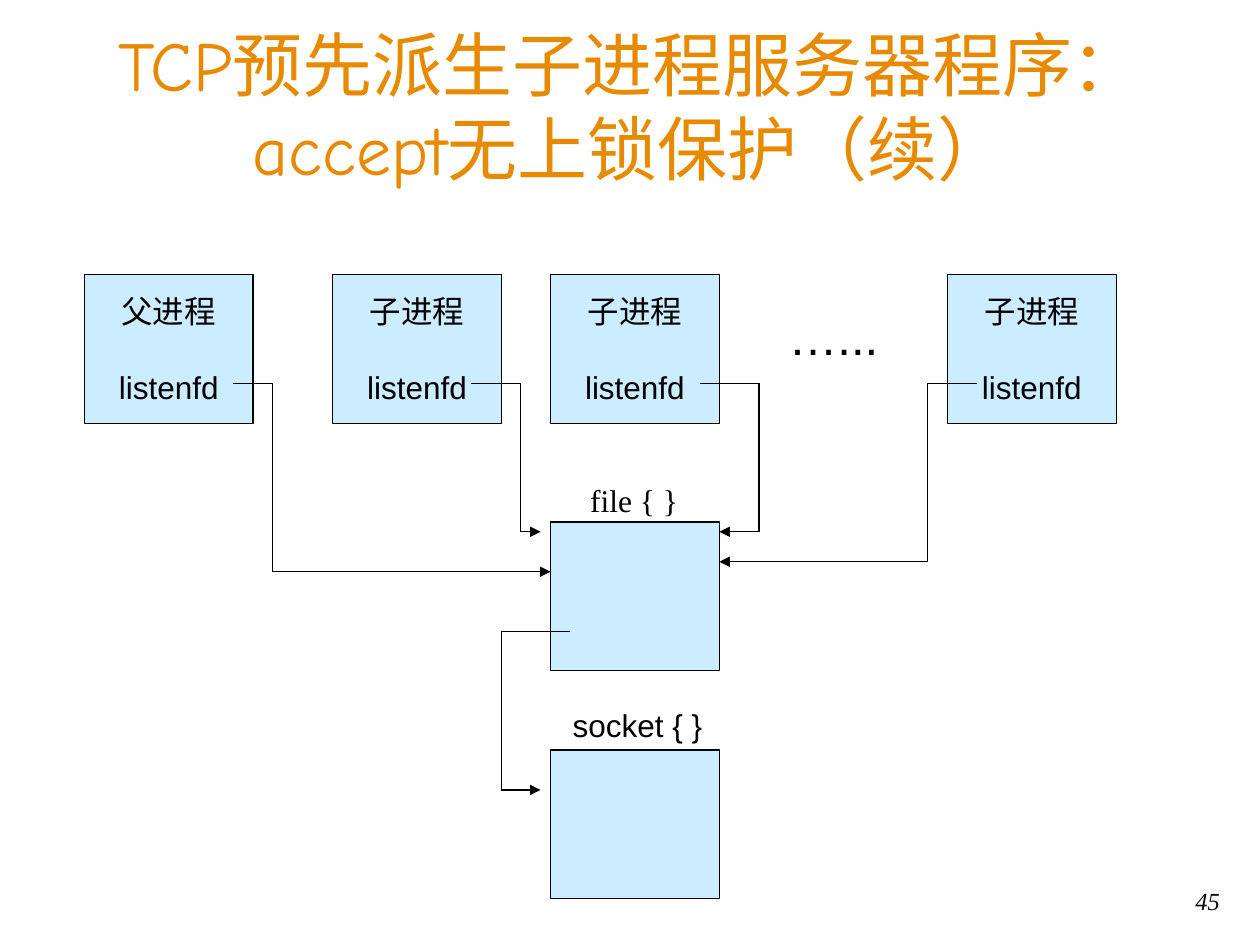
from dataclasses import dataclass

from pptx import Presentation
from pptx.dml.color import RGBColor
from pptx.enum.shapes import MSO_CONNECTOR, MSO_SHAPE
from pptx.enum.text import MSO_ANCHOR, MSO_AUTO_SIZE, PP_ALIGN
from pptx.oxml.ns import qn
from pptx.util import Pt
from lxml import etree

RECTANGLE = MSO_SHAPE.RECTANGLE
STRAIGHT = MSO_CONNECTOR.STRAIGHT
MIDDLE = MSO_ANCHOR.MIDDLE
FIT_SHAPE = MSO_AUTO_SIZE.SHAPE_TO_FIT_TEXT
NO_FIT = MSO_AUTO_SIZE.NONE
LEFT, CENTER, RIGHT = PP_ALIGN.LEFT, PP_ALIGN.CENTER, PP_ALIGN.RIGHT


@dataclass(frozen=True)
class Theme:
    accent: RGBColor = RGBColor(0xE8, 0x8A, 0x00)
    box_fill: RGBColor = RGBColor(0xCC, 0xEC, 0xFF)
    ink: RGBColor = RGBColor(0, 0, 0)
    number_ink: RGBColor = RGBColor(0x08, 0x08, 0x08)
    title_font: str = "Comic Neue"
    body_font: str = "Arial"
    serif_font: str = "Times New Roman"
    title_size: int = 40
    dots_size: int = 28
    body_size: int = 18
    number_size: int = 14
    line_width: float = 0.75


THEME = Theme()
BOX_WIDTH, BOX_HEIGHT = 96.5, 85
PROCESS_TOP = 157
FILE_LEFT, FILE_TOP, SOCKET_TOP = 314.6, 298.3, 428.6
PROCESSES = [(48.2, "父进程"), (190.1, "子进程"), (FILE_LEFT, "子进程"), (541.4, "子进程")]


def format_text(frame, size, color=THEME.ink, font=THEME.body_font, align=LEFT):
    for para in frame.paragraphs:
        para.alignment = align
        for span in para.runs:
            span.font.size = Pt(size)
            span.font.name = font
            span.font.color.rgb = color


def place(shape, left, top, width, height):
    shape.left, shape.top = Pt(left), Pt(top)
    shape.width, shape.height = Pt(width), Pt(height)


def add_title(page, text, left, top, width, height):
    title = page.shapes.title
    place(title, left, top, width, height)
    frame = title.text_frame
    frame.text = text
    frame.vertical_anchor = MIDDLE
    frame.auto_size = NO_FIT
    format_text(frame, THEME.title_size, THEME.accent, THEME.title_font, CENTER)


def add_box(page, left, top):
    box = page.shapes.add_shape(RECTANGLE, Pt(left), Pt(top), Pt(BOX_WIDTH), Pt(BOX_HEIGHT))
    box.shadow.inherit = False
    box.fill.solid()
    box.fill.fore_color.rgb = THEME.box_fill
    box.line.color.rgb = THEME.ink
    box.line.width = Pt(THEME.line_width)
    return box


def add_process(page, left, top, name):
    frame = add_box(page, left, top).text_frame
    frame.text = f"{name}\nlistenfd"
    frame.word_wrap = False
    frame.vertical_anchor = MIDDLE
    frame.paragraphs[1].space_before = Pt(22)
    format_text(frame, THEME.body_size, align=CENTER)


def add_label(page, text, left, top, width, height, size=THEME.body_size, font=THEME.body_font):
    frame = page.shapes.add_textbox(Pt(left), Pt(top), Pt(width), Pt(height)).text_frame
    frame.text = text
    frame.word_wrap = False
    frame.auto_size = FIT_SHAPE
    format_text(frame, size, font=font)


def add_line(page, start, end, arrow):
    line = page.shapes.add_connector(STRAIGHT, *(Pt(value) for value in (*start, *end)))
    line.line.color.rgb = THEME.ink
    line.line.width = Pt(THEME.line_width)
    if arrow:
        etree.SubElement(line.line._get_or_add_ln(), qn("a:tailEnd"), type="triangle")
    etree.SubElement(line._element.spPr, qn("a:effectLst"))


def add_route(page, start_x, start_y, bend_x, end_x, end_y):
    """Draw a path that goes across, down and across to an arrowhead."""
    points = [(start_x, start_y), (bend_x, start_y), (bend_x, end_y), (end_x, end_y)]
    for index, (start, end) in enumerate(zip(points, points[1:])):
        add_line(page, start, end, arrow=index == 2)


def add_diagram(page):
    for left, name in PROCESSES:
        add_process(page, left, PROCESS_TOP, name)
    add_label(page, "…...", 443.5, 171.4, 65.5, 41, THEME.dots_size)
    for top in (FILE_TOP, SOCKET_TOP):
        add_box(page, FILE_LEFT, top)
    add_label(page, "file { }", 330.2, 271.2, 64.8, 28.8, font=THEME.serif_font)
    add_label(page, "socket { }", 320.2, 400, 88.6, 28.8)

    descriptor_y = PROCESS_TOP + 62
    file_right = FILE_LEFT + BOX_WIDTH
    arrow_stop = FILE_LEFT - 5.7
    add_route(page, 133.2, descriptor_y, 155.7, FILE_LEFT, FILE_TOP + 28.4)
    add_route(page, 269.2, descriptor_y, 297.5, arrow_stop, FILE_TOP + 5.6)
    add_route(page, 399.8, descriptor_y, 433.7, file_right, FILE_TOP + 5.6)
    add_route(page, 558.5, descriptor_y, 530, file_right, FILE_TOP + 22.7)
    add_route(page, 326, FILE_TOP + 62.4, 286.4, arrow_stop, SOCKET_TOP + 22.8)


def add_page_number(page, text, left, top, width, height):
    frame = page.shapes.add_textbox(Pt(left), Pt(top), Pt(width), Pt(height)).text_frame
    frame.text = text
    frame.word_wrap = True
    format_text(frame, THEME.number_size, THEME.number_ink, THEME.serif_font, RIGHT)
    frame.paragraphs[0].runs[0].font.italic = True


def main():
    deck = Presentation()
    deck.slide_width, deck.slide_height = Pt(720), Pt(540)
    page = deck.slides.add_slide(deck.slide_layouts[5])
    add_title(page, "TCP预先派生子进程服务器程序：\vaccept无上锁保护（续）", 23.8, 15.1, 672.5, 90)
    add_diagram(page)
    add_page_number(page, "45", 524.2, 502.6, 180, 37.4)
    deck.save("out.pptx")


if __name__ == "__main__":
    main()
